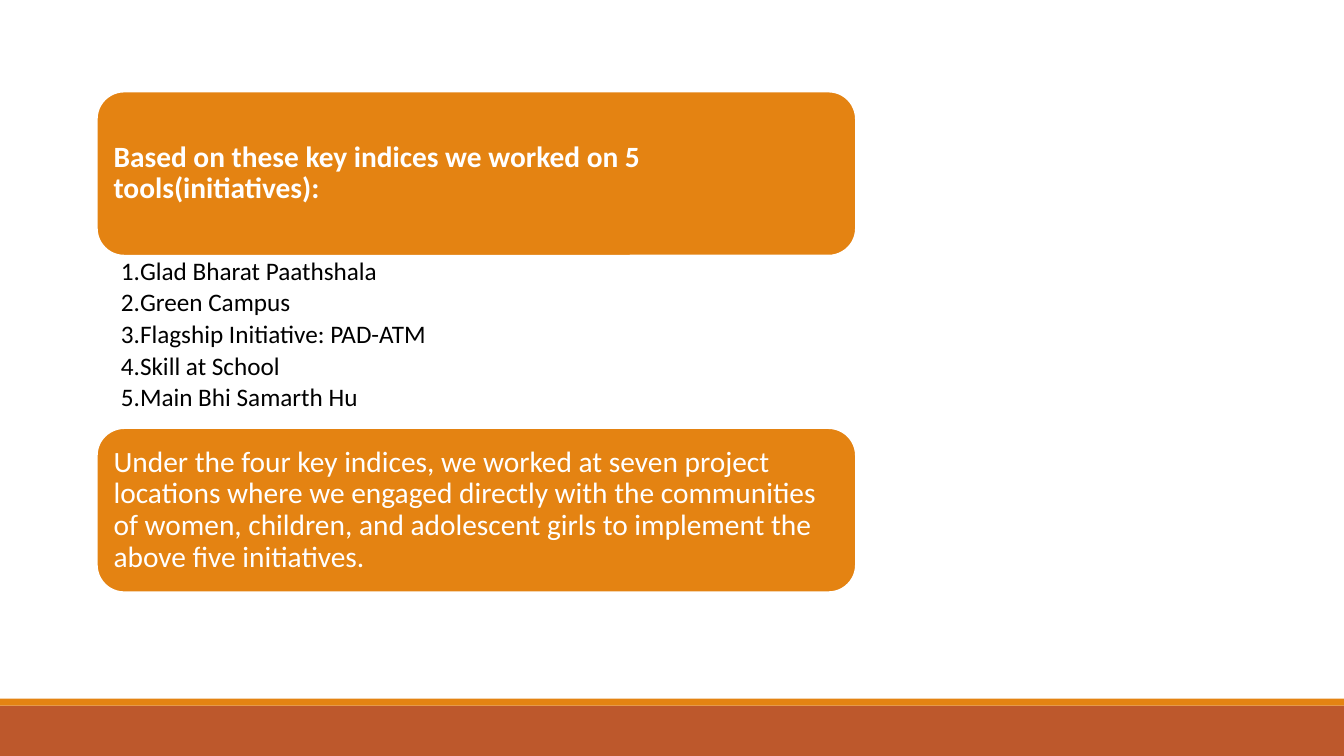
"""Build the slide listing five initiatives between two rounded panels."""
from dataclasses import dataclass

from lxml import etree
from pptx import Presentation
from pptx.dml.color import RGBColor
from pptx.enum.shapes import MSO_SHAPE
from pptx.enum.text import MSO_ANCHOR, PP_ALIGN
from pptx.oxml.ns import qn
from pptx.util import Pt

RECTANGLE = MSO_SHAPE.RECTANGLE
ROUNDED = MSO_SHAPE.ROUNDED_RECTANGLE
MIDDLE = MSO_ANCHOR.MIDDLE
TOP = MSO_ANCHOR.TOP
LEFT = PP_ALIGN.LEFT

ORANGE = RGBColor(0xE4, 0x83, 0x12)
RUST = RGBColor(0xBD, 0x58, 0x2C)
WHITE = RGBColor(0xFF, 0xFF, 0xFF)
BLACK = RGBColor(0x00, 0x00, 0x00)

PAGE_WIDTH, PAGE_HEIGHT = 960, 540
CONTENT_LEFT, CONTENT_WIDTH = 69.2, 542.2
PANEL_HEIGHT = 117.2
NUMBER_INDENT = 13.5

INITIATIVES = [
    "Glad Bharat Paathshala",
    "Green Campus",
    "Flagship Initiative: PAD-ATM",
    "Skill at School",
    "Main Bhi Samarth Hu",
]


@dataclass(frozen=True)
class Band:
    top: float
    height: float
    color: RGBColor


@dataclass(frozen=True)
class Panel:
    top: float
    text: str
    bold: bool = False


BANDS = [Band(504, 36, RUST), Band(499, 5, ORANGE)]
PANELS = [
    Panel(65.4, "Based on these key indices we worked on 5 tools(initiatives):", bold=True),
    Panel(
        305.8,
        "Under the four key indices, we worked at seven project locations where we "
        "engaged directly with the communities of women, children, and adolescent "
        "girls to implement the above five initiatives.",
    ),
]


def write_text(box, lines: list[str], *, size: float, color: RGBColor,
               margins: tuple[float, float, float, float], bold: bool = False,
               anchor=TOP, space_after: float = 0, numbered: bool = False) -> None:
    frame = box.text_frame
    frame.word_wrap = True
    frame.vertical_anchor = anchor
    (frame.margin_left, frame.margin_top,
     frame.margin_right, frame.margin_bottom) = map(Pt, margins)
    for index, line in enumerate(lines):
        para = frame.paragraphs[0] if index == 0 else frame.add_paragraph()
        para.alignment = LEFT
        para.line_spacing = 0.9
        para.space_after = Pt(space_after)
        if numbered:
            properties = para._p.get_or_add_pPr()
            properties.set("marL", str(Pt(NUMBER_INDENT)))
            properties.set("indent", str(-Pt(NUMBER_INDENT)))
            etree.SubElement(properties, qn("a:buFont"), typeface="+mj-lt")
            etree.SubElement(properties, qn("a:buAutoNum"), type="arabicPeriod")
        span = para.add_run()
        span.text = line
        span.font.name = "Calibri"
        span.font.size = Pt(size)
        span.font.bold = bold
        span.font.color.rgb = color


def draw_band(page, band: Band) -> None:
    shape = page.shapes.add_shape(RECTANGLE, 0, Pt(band.top), Pt(PAGE_WIDTH), Pt(band.height))
    shape.shadow.inherit = False
    shape.fill.solid()
    shape.fill.fore_color.rgb = band.color
    shape.line.fill.background()


def draw_panel(page, panel: Panel) -> None:
    shape = page.shapes.add_shape(ROUNDED, Pt(CONTENT_LEFT), Pt(panel.top),
                                  Pt(CONTENT_WIDTH), Pt(PANEL_HEIGHT))
    shape.shadow.inherit = False
    shape.fill.solid()
    shape.fill.fore_color.rgb = ORANGE
    shape.line.color.rgb = WHITE
    shape.line.width = Pt(1.25)
    write_text(shape, [panel.text], size=21, color=WHITE, bold=panel.bold,
               anchor=MIDDLE, margins=(6.3, 6.3, 6.3, 6.3))


def draw_initiatives(page) -> None:
    box = page.shapes.add_textbox(Pt(CONTENT_LEFT), Pt(182.5), Pt(CONTENT_WIDTH), Pt(123.2))
    write_text(box, INITIATIVES, size=18, color=BLACK, numbered=True,
               space_after=3.2, margins=(17.2, 2, 10, 2))


def main() -> None:
    deck = Presentation()
    deck.slide_width, deck.slide_height = Pt(PAGE_WIDTH), Pt(PAGE_HEIGHT)
    page = deck.slides.add_slide(deck.slide_layouts[6])
    for band in BANDS:
        draw_band(page, band)
    for panel in PANELS:
        draw_panel(page, panel)
    draw_initiatives(page)
    deck.save("out.pptx")


if __name__ == "__main__":
    main()
